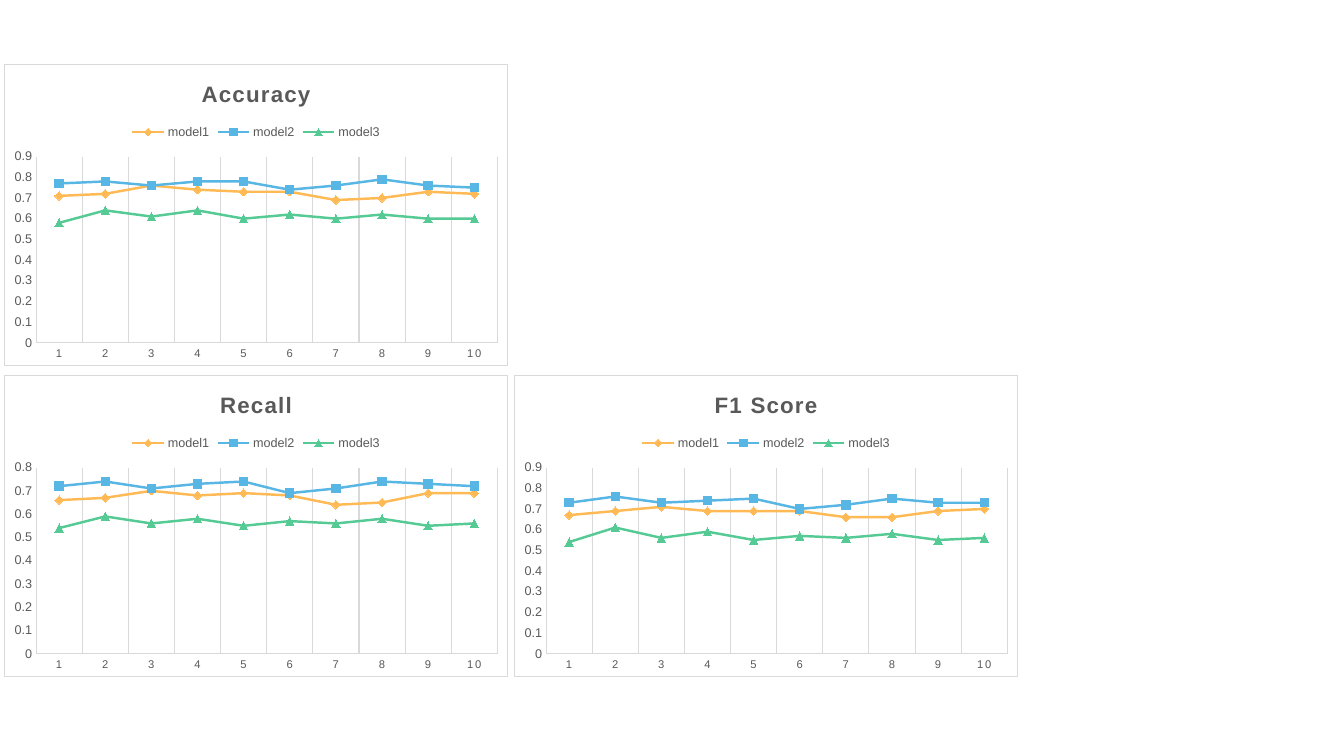
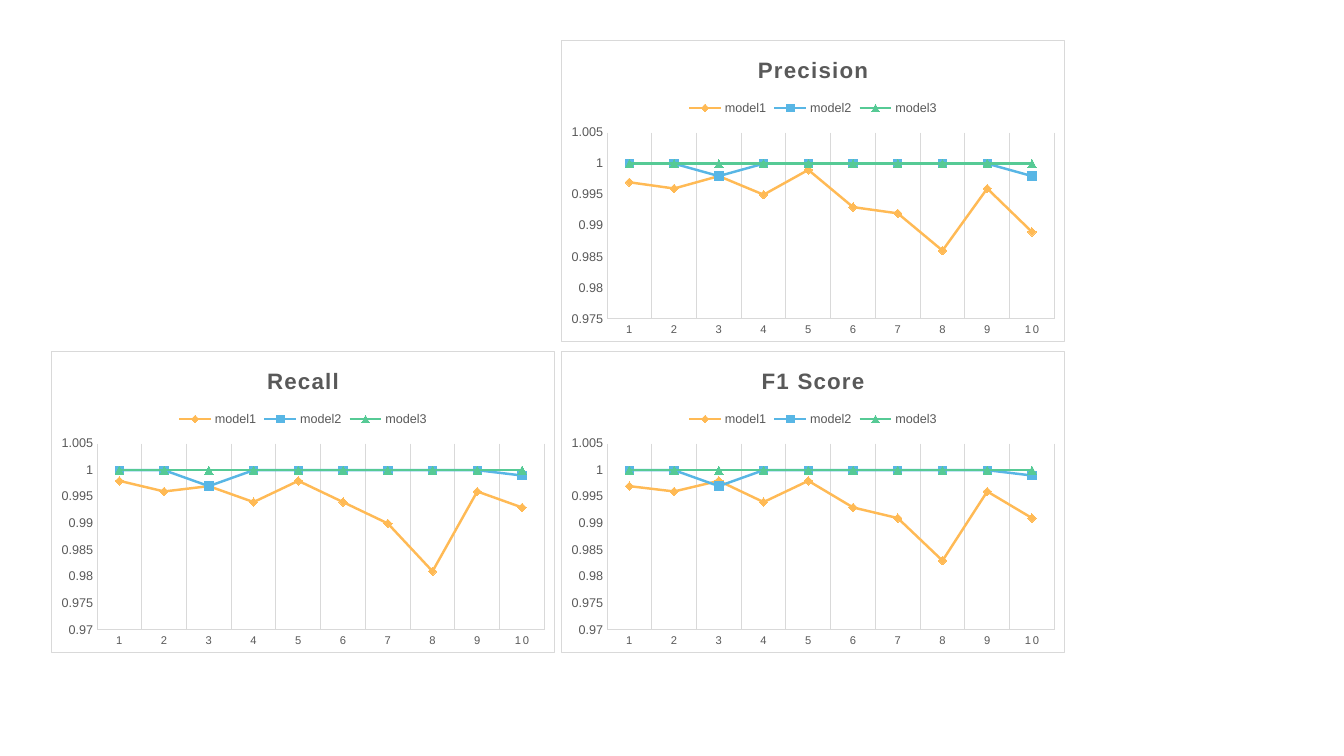
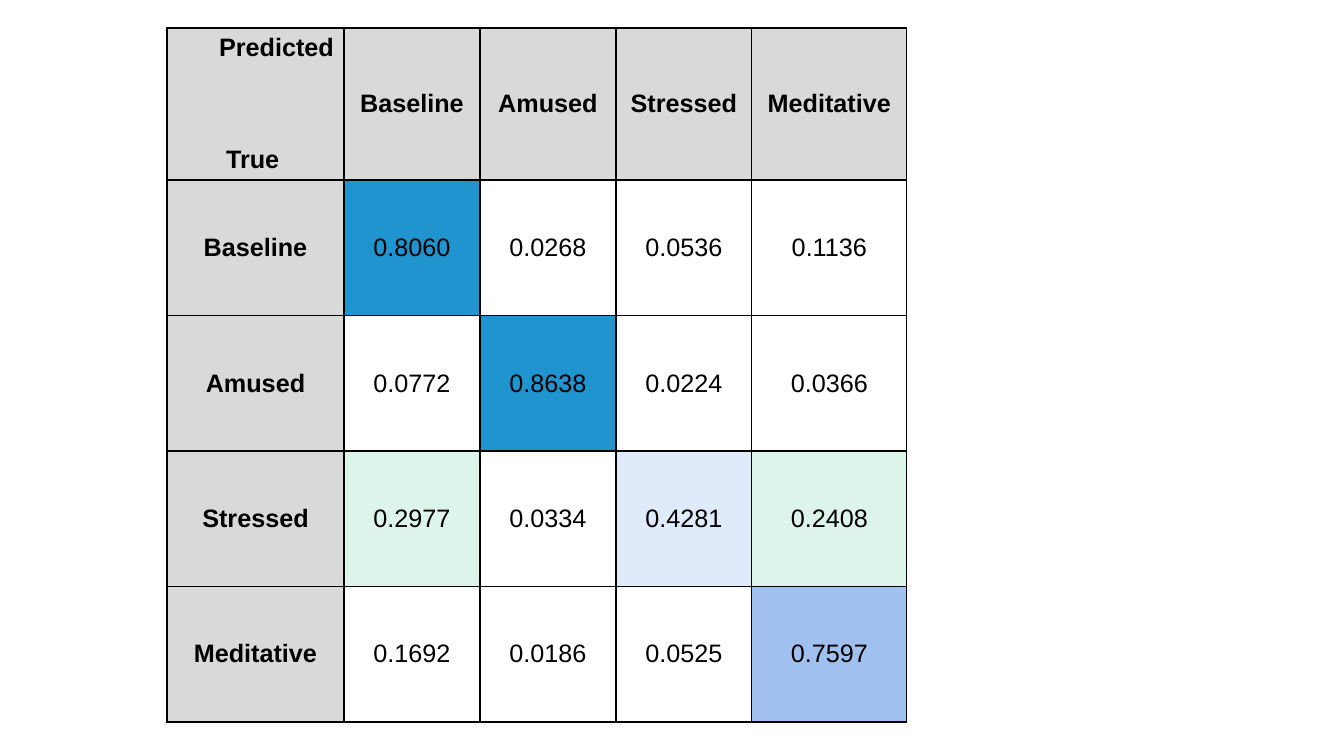
from lxml import etree
from pptx import Presentation
from pptx.chart import data
from pptx.dml import color
from pptx.enum import chart as charts, text
from pptx.oxml import ns, parse_xml
from pptx.util import Emu, Pt

SCALE = 914400 / 100.8
FONT = "Arial"
COLORS = {
    "white": "FFFFFF", "black": "000000", "label": "595959", "rule": "D9D9D9",
    "orange": "FFBA55", "blue": "58B6E5", "green": "56CA95",
    "header": "D9D9D9", "strong": "2094CE", "medium": "A0C0F0",
    "light": "DFEAFA", "mint": "DDF4EA",
}
MODELS = [
    ("model1", "orange", charts.XL_MARKER_STYLE.DIAMOND),
    ("model2", "blue", charts.XL_MARKER_STYLE.SQUARE),
    ("model3", "green", charts.XL_MARKER_STYLE.TRIANGLE),
]
CHART_SIZE = (504, 302)
EMOTIONS = ["Baseline", "Amused", "Stressed", "Meditative"]


def px(length):
    return Emu(round(length * SCALE))


def rgb(name):
    return color.RGBColor.from_string(COLORS[name])


def style_font(font, size, color_name, bold=False):
    font.name = FONT
    font.size = Pt(size)
    font.bold = bold
    font.color.rgb = rgb(color_name)


def style_line(line, color_name, width=0.75):
    line.color.rgb = rgb(color_name)
    line.width = Pt(width)


def solid_fill(color_name):
    return f'<a:solidFill><a:srgbClr val="{COLORS[color_name]}"/></a:solidFill>'


def add_frame(chart):
    chart_node = chart.element.find(ns.qn("c:chart"))
    chart_node.addprevious(parse_xml(f'<c:roundedCorners {ns.nsdecls("c")} val="0"/>'))
    chart_node.addnext(parse_xml(
        f'<c:spPr {ns.nsdecls("c", "a")}>{solid_fill("white")}'
        f'<a:ln w="9525">{solid_fill("rule")}</a:ln></c:spPr>'))


def space_letters(chart, parent, spacing):
    for properties in chart.element.xpath(f".//c:{parent}//a:defRPr"):
        properties.set("spc", str(spacing))


def add_metric_chart(slide, box, title, scale, rows):
    chart_data = data.CategoryChartData()
    chart_data.categories = [str(number) for number in range(1, 11)]
    for (name, _, _), values in zip(MODELS, rows):
        chart_data.add_series(name, values)
    chart = slide.shapes.add_chart(
        charts.XL_CHART_TYPE.LINE_MARKERS, *map(px, box), chart_data).chart
    style_font(chart.font, 10, "black")
    add_frame(chart)

    chart.has_title = True
    title_frame = chart.chart_title.text_frame
    title_frame.text = title
    style_font(title_frame.paragraphs[0].font, 16, "label", True)
    space_letters(chart, "title", 100)

    chart.has_legend = True
    chart.legend.position = charts.XL_LEGEND_POSITION.TOP
    chart.legend.include_in_layout = False
    style_font(chart.legend.font, 9, "label")

    for axis, size in ((chart.category_axis, 8), (chart.value_axis, 9)):
        axis.major_tick_mark = axis.minor_tick_mark = charts.XL_TICK_MARK.NONE
        style_font(axis.tick_labels.font, size, "label")
        style_line(axis.format.line, "rule")
    space_letters(chart, "catAx", 120)
    chart.category_axis.has_major_gridlines = True
    style_line(chart.category_axis.major_gridlines.format.line, "rule")
    value_axis = chart.value_axis
    value_axis.has_major_gridlines = False
    value_axis.minimum_scale, value_axis.maximum_scale, value_axis.major_unit = scale

    plot = chart.plots[0]
    plot.vary_by_categories = False
    for series, (_, color_name, marker_style) in zip(plot.series, MODELS):
        series.smooth = False
        style_line(series.format.line, color_name, 1.75)
        series.marker.style = marker_style
        series.marker.size = 6
        series.marker.format.fill.solid()
        series.marker.format.fill.fore_color.rgb = rgb(color_name)
        style_line(series.marker.format.line, color_name)


def add_chart_slide(presentation, origin, metrics):
    slide = presentation.slides.add_slide(presentation.slide_layouts[6])
    left, top = origin
    for column, row, title, scale, rows in metrics:
        box = (left + column * 510, top + row * 311, *CHART_SIZE)
        add_metric_chart(slide, box, title, scale, rows)


def add_borders(cell):
    properties = cell._tc.get_or_add_tcPr()
    for index, side in enumerate(("lnL", "lnR", "lnT", "lnB")):
        properties.insert(index, parse_xml(
            f'<a:{side} {ns.nsdecls("a")} w="12700">{solid_fill("black")}</a:{side}>'))


def fill_cell(cell, content, fill=None, bold=False):
    cell.text = content
    cell.vertical_anchor = text.MSO_ANCHOR.MIDDLE
    for paragraph in cell.text_frame.paragraphs:
        paragraph.alignment = text.PP_ALIGN.CENTER
        style_font(paragraph.font, 18, "black", bold)
    if fill:
        cell.fill.solid()
        cell.fill.fore_color.rgb = rgb(fill)
    else:
        cell.fill.background()
    add_borders(cell)


def fill_corner(cell):
    fill_cell(cell, "Predicted\nTrue", "header", True)
    predicted, true = cell.text_frame.paragraphs
    predicted.alignment = text.PP_ALIGN.RIGHT
    true.alignment = text.PP_ALIGN.LEFT
    true.space_before = Pt(60)
    true._p.get_or_add_pPr().set("marL", str(px(49)))


def add_confusion_table(slide, box, widths, header_height, values, fills):
    count = len(EMOTIONS)
    table = slide.shapes.add_table(count + 1, count + 1, *map(px, box)).table
    table.first_row = table.horz_banding = False
    for column, width in zip(table.columns, widths):
        column.width = px(width)
    for row in table.rows:
        row.height = px((box[3] - header_height) / count)
    table.rows[0].height = px(header_height)
    fill_corner(table.cell(0, 0))
    for index, emotion in enumerate(EMOTIONS, 1):
        fill_cell(table.cell(0, index), emotion, "header", True)
        fill_cell(table.cell(index, 0), emotion, "header", True)
    for row, row_values in enumerate(values, 1):
        for column, value in enumerate(row_values, 1):
            fill_cell(table.cell(row, column), value, fills.get((row, column)))


def add_table_slide(presentation):
    slide = presentation.slides.add_slide(presentation.slide_layouts[6])
    values = [
        ["0.8060", "0.0268", "0.0536", "0.1136"],
        ["0.0772", "0.8638", "0.0224", "0.0366"],
        ["0.2977", "0.0334", "0.4281", "0.2408"],
        ["0.1692", "0.0186", "0.0525", "0.7597"],
    ]
    fills = {(1, 1): "strong", (2, 2): "strong", (3, 1): "mint",
             (3, 3): "light", (3, 4): "mint", (4, 4): "medium"}
    add_confusion_table(
        slide, (167, 28, 740, 694), (177, 136, 136, 136, 155), 152, values, fills)


ALL_ONES = [1] * 10
FIRST_METRICS = [
    (0, 0, "Accuracy", (0, 0.9, 0.1), [
        [0.71, 0.72, 0.76, 0.74, 0.73, 0.73, 0.69, 0.7, 0.73, 0.72],
        [0.77, 0.78, 0.76, 0.78, 0.78, 0.74, 0.76, 0.79, 0.76, 0.75],
        [0.58, 0.64, 0.61, 0.64, 0.6, 0.62, 0.6, 0.62, 0.6, 0.6]]),
    (0, 1, "Recall", (0, 0.8, 0.1), [
        [0.66, 0.67, 0.7, 0.68, 0.69, 0.68, 0.64, 0.65, 0.69, 0.69],
        [0.72, 0.74, 0.71, 0.73, 0.74, 0.69, 0.71, 0.74, 0.73, 0.72],
        [0.54, 0.59, 0.56, 0.58, 0.55, 0.57, 0.56, 0.58, 0.55, 0.56]]),
    (1, 1, "F1 Score", (0, 0.9, 0.1), [
        [0.67, 0.69, 0.71, 0.69, 0.69, 0.69, 0.66, 0.66, 0.69, 0.7],
        [0.73, 0.76, 0.73, 0.74, 0.75, 0.7, 0.72, 0.75, 0.73, 0.73],
        [0.54, 0.61, 0.56, 0.59, 0.55, 0.57, 0.56, 0.58, 0.55, 0.56]]),
]
SECOND_METRICS = [
    (1, 0, "Precision", (0.975, 1.005, 0.005), [
        [0.997, 0.996, 0.998, 0.995, 0.999, 0.993, 0.992, 0.986, 0.996, 0.989],
        [1, 1, 0.998, 1, 1, 1, 1, 1, 1, 0.998],
        ALL_ONES]),
    (0, 1, "Recall", (0.97, 1.005, 0.005), [
        [0.998, 0.996, 0.997, 0.994, 0.998, 0.994, 0.99, 0.981, 0.996, 0.993],
        [1, 1, 0.997, 1, 1, 1, 1, 1, 1, 0.999],
        ALL_ONES]),
    (1, 1, "F1 Score", (0.97, 1.005, 0.005), [
        [0.997, 0.996, 0.998, 0.994, 0.998, 0.993, 0.991, 0.983, 0.996, 0.991],
        [1, 1, 0.997, 1, 1, 1, 1, 1, 1, 0.999],
        ALL_ONES]),
]

presentation = Presentation()
presentation.slide_width = px(1344)
presentation.slide_height = px(756)
add_chart_slide(presentation, (4, 64), FIRST_METRICS)
add_chart_slide(presentation, (51, 40), SECOND_METRICS)
add_table_slide(presentation)
presentation.save("out.pptx")
